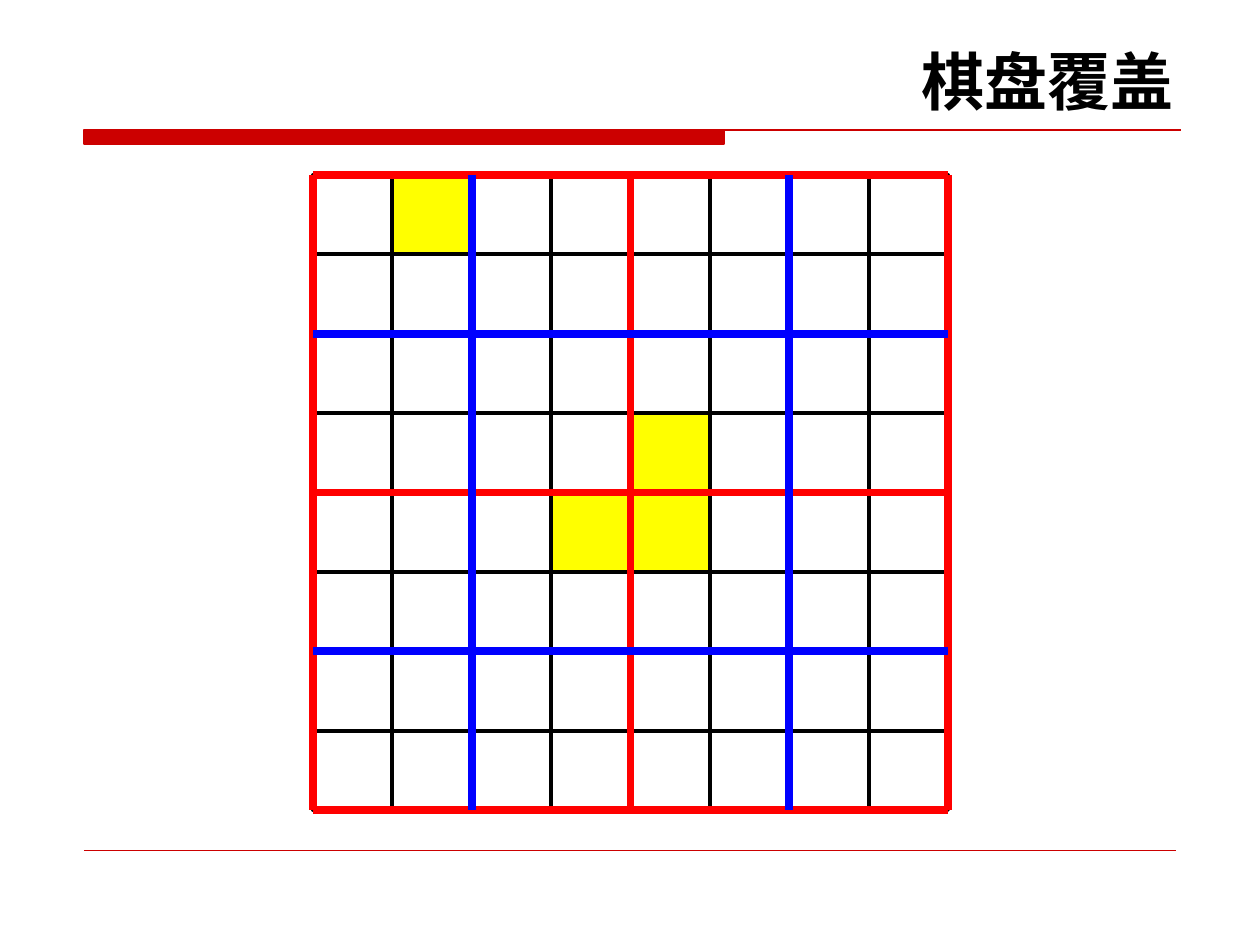
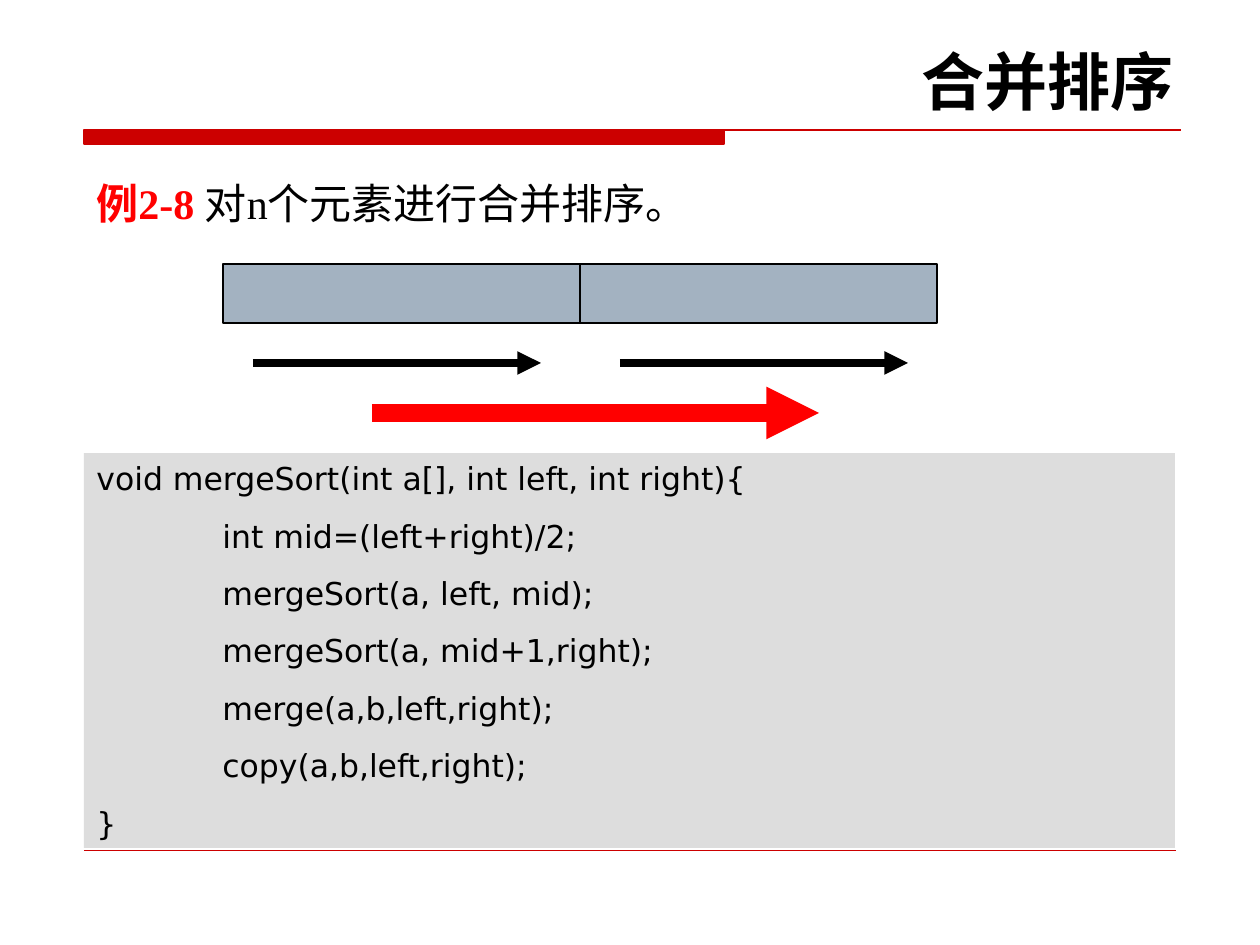
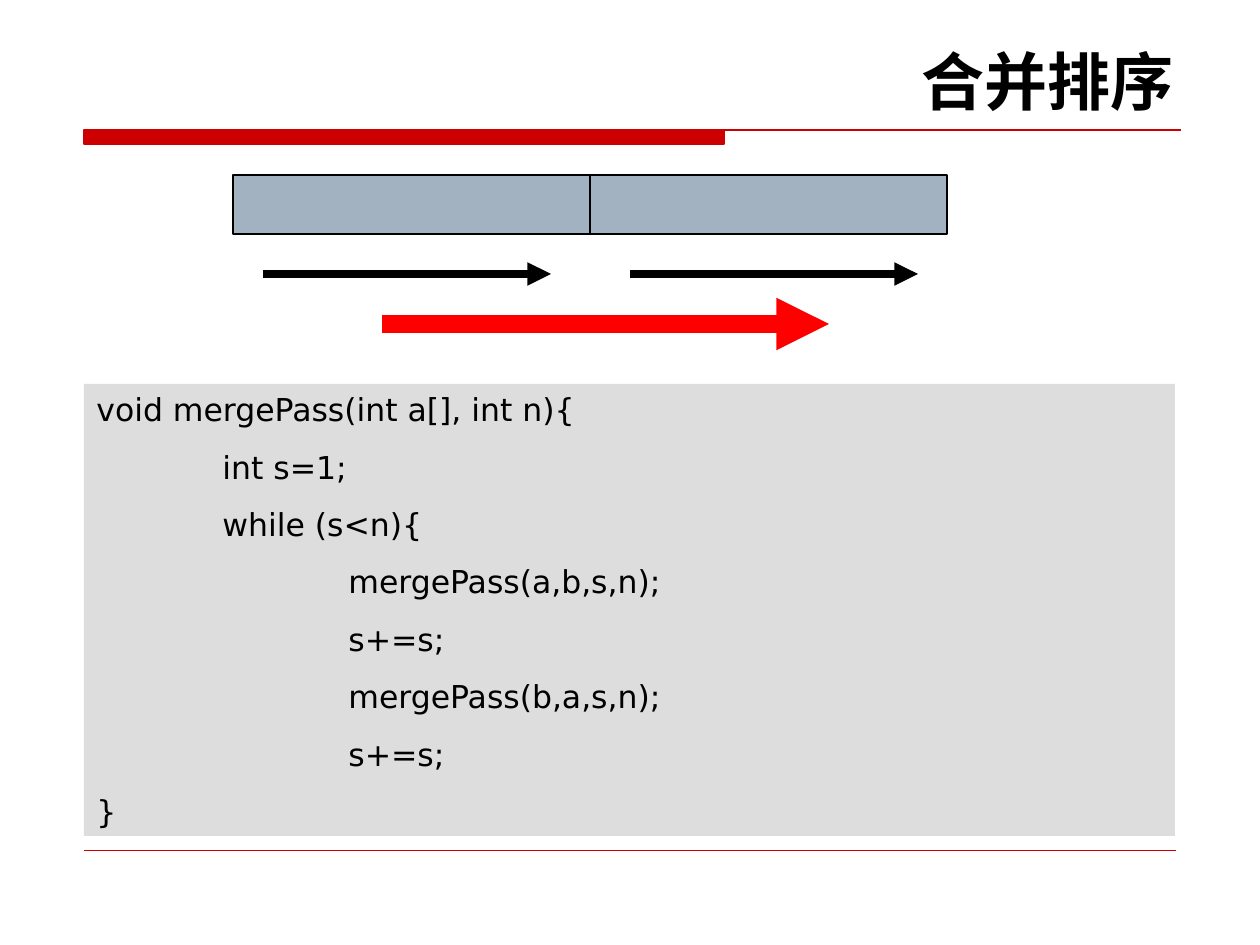
from itertools import product

from lxml.etree import SubElement
from pptx import Presentation
from pptx.dml.color import RGBColor
from pptx.enum.shapes import MSO_CONNECTOR, MSO_SHAPE
from pptx.enum.text import MSO_ANCHOR, MSO_AUTO_SIZE, PP_ALIGN
from pptx.oxml.ns import qn
from pptx.util import Emu, Pt

SCALE = 914400 / 126
COLORS = {
    "black": "000000",
    "theme_red": "CC0000",
    "red": "FF0000",
    "blue": "0000FF",
    "yellow": "FFFF00",
    "array": "A3B2C1",
    "code": "DDDDDD",
}
SANS = "DejaVu Sans"
SERIF = "Times New Roman"
TAB_WIDTH = 126

COVERED_CELLS = {(0, 1), (3, 4), (4, 3), (4, 4)}
MERGE_SORT = [
    "void mergeSort(int a[], int left, int right){",
    "\tint mid=(left+right)/2;",
    "\tmergeSort(a, left, mid);",
    "\tmergeSort(a, mid+1,right);",
    "\tmerge(a,b,left,right);",
    "\tcopy(a,b,left,right);",
    "}",
]
MERGE_PASS = [
    "void mergePass(int a[], int n){",
    "\tint s=1;",
    "\twhile (s<n){",
    "\t\tmergePass(a,b,s,n);",
    "\t\ts+=s;",
    "\t\tmergePass(b,a,s,n);",
    "\t\ts+=s;",
    "}",
]


def px(length):
    """Turn a length in px into EMU."""
    return Emu(round(length * SCALE))


def color(name):
    """Look up a named colour."""
    return RGBColor.from_string(COLORS[name])


def add_run(paragraph, text, size, font=SANS, fill="black", bold=False):
    """Add one formatted run to a paragraph."""
    run = paragraph.add_run()
    run.text = text
    run.font.name = font
    run.font.size = Pt(size)
    run.font.bold = bold
    run.font.color.rgb = color(fill)


def add_tab_stops(paragraph):
    """Give a paragraph evenly spaced left tab stops."""
    properties = paragraph._p.get_or_add_pPr()
    tab_list = SubElement(properties, qn("a:tabLst"))
    for stop in range(8):
        SubElement(tab_list, qn("a:tab"), pos=str(px(stop * TAB_WIDTH)), algn="l")


def prepare_text(shape):
    """Make a text frame wrap from the top at a fixed size."""
    frame = shape.text_frame
    frame.word_wrap = True
    frame.auto_size = MSO_AUTO_SIZE.NONE
    frame.vertical_anchor = MSO_ANCHOR.TOP
    return frame


def add_rectangle(shapes, box, fill=None, line_width=None):
    """Add a flat rectangle with an optional fill and black outline."""
    shape = shapes.add_shape(MSO_SHAPE.RECTANGLE, *map(px, box))
    shape.shadow.inherit = False
    if fill:
        shape.fill.solid()
        shape.fill.fore_color.rgb = color(fill)
    else:
        shape.fill.background()
    if line_width:
        shape.line.color.rgb = color("black")
        shape.line.width = Pt(line_width)
    else:
        shape.line.fill.background()
    return shape


def add_line(shapes, start, end, stroke, width, arrow=False):
    """Add a straight line, with an arrowhead at its end if wanted."""
    connector = shapes.add_connector(MSO_CONNECTOR.STRAIGHT, *map(px, (*start, *end)))
    connector.line.color.rgb = color(stroke)
    connector.line.width = Pt(width)
    properties = connector._element.spPr
    if arrow:
        SubElement(properties.find(qn("a:ln")), qn("a:tailEnd"), type="triangle")
    SubElement(properties, qn("a:effectLst"))


def add_title_band(shapes, left, top, width):
    """Draw the thick band and the thin rule under the title."""
    band_right, bottom, right = left + 640, top + 14, left + width
    builder = shapes.build_freeform(left, top, scale=SCALE)
    builder.add_line_segments([(band_right, top), (band_right, bottom), (left, bottom)])
    builder.move_to(left, top)
    builder.add_line_segments([(right, top)], close=False)
    band = builder.convert_to_shape()
    band.shadow.inherit = False
    band.fill.solid()
    band.fill.fore_color.rgb = color("theme_red")
    band.line.color.rgb = color("theme_red")
    band.line.width = Pt(0.75)


def add_titled_slide(presentation, title_text):
    """Add a slide with the shared title, band and footer rule."""
    slide = presentation.slides.add_slide(presentation.slide_layouts[5])
    title = slide.shapes.title
    title.left, title.top, title.width, title.height = map(px, (65, 36, 1121, 88))
    paragraph = prepare_text(title).paragraphs[0]
    paragraph.alignment = PP_ALIGN.RIGHT
    add_run(paragraph, title_text, 36, bold=True)
    add_title_band(slide.shapes, 84, 130, 1097)
    add_line(slide.shapes, (84, 850), (1176, 850), "theme_red", 0.25)
    return slide


def add_division_lines(shapes, left, top, cell, positions, stroke):
    """Draw grouped half-board lines across and up at the given grid positions."""
    lines = shapes.add_group_shape().shapes
    for start, position in product((0, 4), positions):
        near, far, offset = start * cell, (start + 4) * cell, position * cell
        add_line(lines, (left + near, top + offset), (left + far, top + offset), stroke, 4.5)
        add_line(lines, (left + offset, top + far), (left + offset, top + near), stroke, 4.5)


def add_board(shapes, left, top, size):
    """Draw the eight by eight board with its covered cells and divisions."""
    cell = size / 8
    for row, column in product(range(8), repeat=2):
        fill = "yellow" if (row, column) in COVERED_CELLS else None
        box = (left + column * cell, top + row * cell, cell, cell)
        add_rectangle(shapes, box, fill, 2.25)
    add_division_lines(shapes, left, top, cell, (0, 4, 8), "red")
    add_division_lines(shapes, left, top, cell, (2, 6), "blue")


def add_merge_diagram(shapes, left, top):
    """Draw two array halves, the sorting arrow of each and the merging arrow."""
    for half in range(2):
        add_rectangle(shapes, (left + half * 357, top, 357, 59), "array", 0.75)
    for half in range(2):
        start = left + 30 + half * 367
        add_line(shapes, (start, top + 99), (start + 288, top + 99), "black", 4.5, arrow=True)
    add_line(shapes, (left + 149, top + 149), (left + 596, top + 149), "red", 10, arrow=True)


def add_example(shapes, left, top, width, height):
    """Add the numbered example statement."""
    statement = shapes.add_textbox(*map(px, (left, top, width, height)))
    paragraph = prepare_text(statement).paragraphs[0]
    add_run(paragraph, "例2-8 ", 24, SERIF, "red", bold=True)
    add_run(paragraph, "对n个元素进行合并排序。", 24, SERIF)


def add_code(shapes, left, top, width, height, code_lines):
    """Add a grey panel with one paragraph for each line of code."""
    panel = add_rectangle(shapes, (left, top, width, height), "code")
    frame = prepare_text(panel)
    for index, code_line in enumerate(code_lines):
        paragraph = frame.add_paragraph() if index else frame.paragraphs[0]
        paragraph.alignment = PP_ALIGN.LEFT
        if index:
            paragraph.space_before = Pt(11.2)
        add_tab_stops(paragraph)
        add_run(paragraph, code_line, 18)


def main():
    """Build the three slides and save them."""
    presentation = Presentation()
    presentation.slide_width, presentation.slide_height = px(1260), px(945)

    board_slide = add_titled_slide(presentation, "棋盘覆盖")
    add_board(board_slide.shapes, 313, 175, 635)

    recursive_slide = add_titled_slide(presentation, "合并排序")
    add_example(recursive_slide.shapes, 84, 171, 1091, 63)
    add_merge_diagram(recursive_slide.shapes, 223, 264)
    add_code(recursive_slide.shapes, 84, 453, 1091, 395, MERGE_SORT)

    iterative_slide = add_titled_slide(presentation, "合并排序")
    add_merge_diagram(iterative_slide.shapes, 233, 175)
    add_code(iterative_slide.shapes, 84, 384, 1091, 452, MERGE_PASS)

    presentation.save("out.pptx")


if __name__ == "__main__":
    main()
